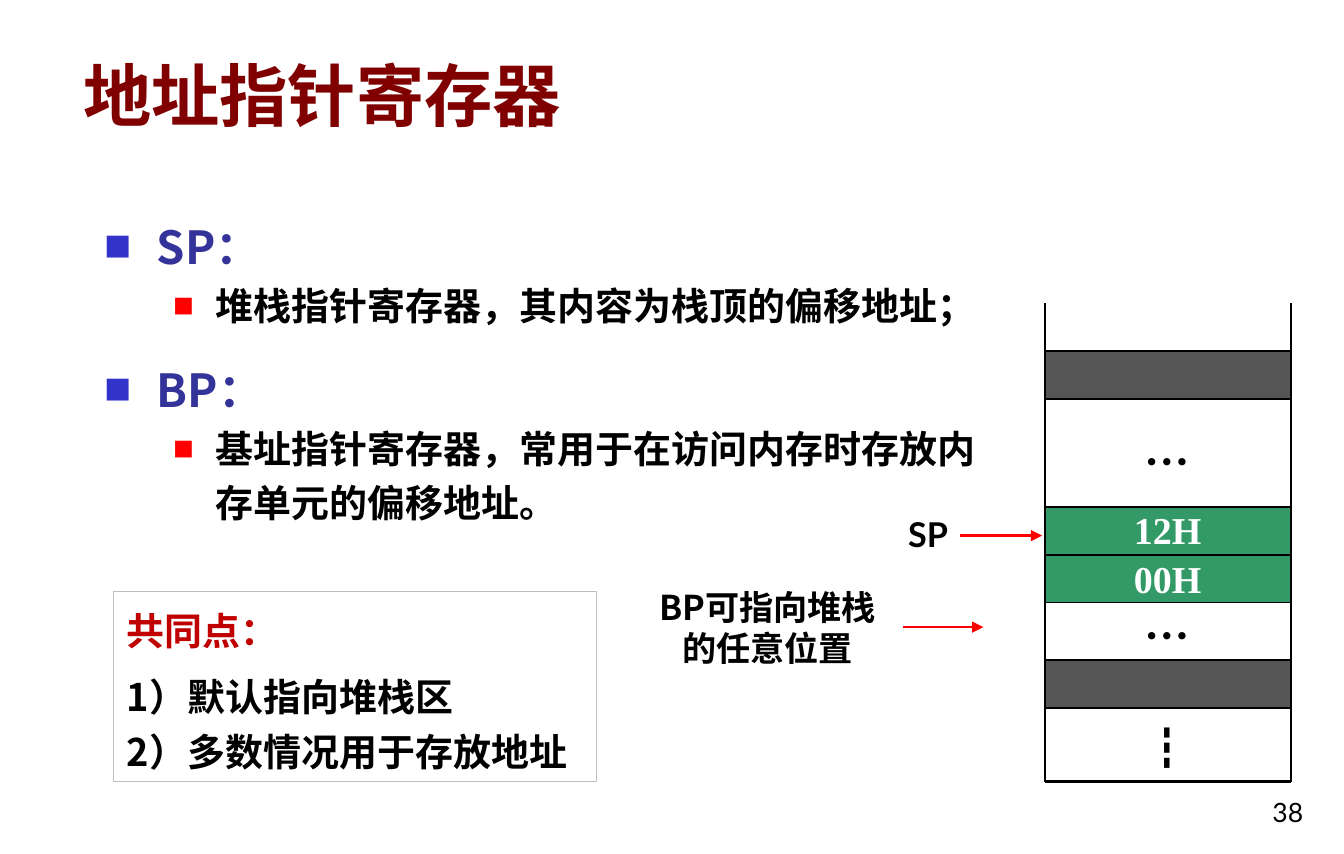
from lxml import etree
from pptx import Presentation
from pptx import util as u
from pptx.dml import color
from pptx.enum import shapes, text
from pptx.oxml import ns

SANS, LATIN, SERIF = "Noto Sans CJK SC", "Lato", "Times New Roman"
CENTER = {"alignment": text.PP_ALIGN.CENTER}
GREEN, GRAY = "339966", "555555"
STACK_LEFT, STACK_WIDTH, STACK_BOTTOM, CELL_HEIGHT = 7.65, 1.8, 5.72, 0.35


def rgb(value):
    """Turn a hex string into a colour."""
    return color.RGBColor.from_string(value)


def add_element(parent, tag, **attributes):
    """Append a drawing element with the given attributes."""
    return etree.SubElement(parent, ns.qn(tag), attributes)


def set_attributes(target, values):
    """Set each named format value on the target."""
    for name, value in values.items():
        setattr(target, name, value)


def add_bullet(paragraph, bullet_color, percent, margin, indent):
    """Give a paragraph a coloured square bullet and a hanging indent."""
    properties = paragraph._p.get_or_add_pPr()
    properties.set("marL", str(u.Inches(margin)))
    properties.set("indent", str(u.Inches(indent)))
    fill = add_element(properties, "a:buClr")
    add_element(fill, "a:srgbClr", val=bullet_color)
    add_element(properties, "a:buSzPct", val=str(percent * 1000))
    add_element(properties, "a:buFont", typeface=SANS)
    add_element(properties, "a:buChar", char="■")


def write_paragraph(paragraph, words, size, font=SANS, ink="000000", bold=True, layout=None, bullet=None):
    """Write one formatted paragraph."""
    set_attributes(paragraph, layout or {})
    if bullet:
        add_bullet(paragraph, *bullet)
    run = paragraph.add_run()
    run.text = words
    set_attributes(run.font, {"size": u.Pt(size), "bold": bold, "name": font})
    run.font.color.rgb = rgb(ink)
    add_element(run._r.get_or_add_rPr(), "a:ea", typeface=SANS if font == LATIN else font)


def fill_frame(shape, paragraphs, anchor=text.MSO_ANCHOR.TOP):
    """Write paragraphs into the wrapped text frame of a shape."""
    frame = shape.text_frame
    set_attributes(frame, {"word_wrap": True, "vertical_anchor": anchor})
    for index, values in enumerate(paragraphs):
        paragraph = frame.add_paragraph() if index else frame.paragraphs[0]
        write_paragraph(paragraph, **values)


def add_text(container, box, paragraphs, **options):
    """Add a text box holding the paragraphs."""
    shape = container.add_textbox(*map(u.Inches, box))
    fill_frame(shape, paragraphs, **options)


def add_box(container, box, line, width, fill=None):
    """Add an outlined rectangle, filled if a colour is given."""
    shape = container.add_shape(shapes.MSO_SHAPE.RECTANGLE, *map(u.Inches, box))
    shape.shadow.inherit = False
    if fill:
        shape.fill.solid()
        shape.fill.fore_color.rgb = rgb(fill)
    else:
        shape.fill.background()
    shape.line.color.rgb = rgb(line)
    shape.line.width = u.Pt(width)
    return shape


def add_line(container, ends, ink="000000", width=1, arrow=False):
    """Add a straight line, with an arrowhead if wanted."""
    line = container.add_connector(shapes.MSO_CONNECTOR.STRAIGHT, *map(u.Inches, ends))
    line.line.color.rgb = rgb(ink)
    line.line.width = u.Pt(width)
    if arrow:
        add_element(line.line._get_or_add_ln(), "a:tailEnd", type="triangle")
    add_element(line._element.spPr, "a:effectLst")


def add_registers(slide):
    """Add the bulleted descriptions of both registers."""
    entries = [
        ("SP：", 6, "堆栈指针寄存器，其内容为栈顶的偏移地址；"),
        ("BP：", 12, "基址指针寄存器，常用于在访问内存时存放内存单元的偏移地址。"),
    ]
    paragraphs = []
    for name, gap, description in entries:
        paragraphs += [
            {"words": name, "size": 24, "ink": "333399", "bullet": ("3333CC", 60, 0.38, -0.38),
             "layout": {"line_spacing": 1.2, "space_before": u.Pt(gap)}},
            {"words": description, "size": 20, "bullet": ("FF0000", 55, 0.81, -0.31),
             "layout": {"line_spacing": 1.2, "level": 1, "space_before": u.Pt(0)}},
        ]
    add_text(slide.shapes, (0.67, 1.47, 6.69, 2.6), paragraphs)


def add_common_points(slide):
    """Add the framed list of what the registers share."""
    lines = [("共同点：", "C00000", 6), ("1）默认指向堆栈区", "000000", 0), ("2）多数情况用于存放地址", "000000", 0)]
    shape = add_box(slide.shapes, (0.83, 4.33, 3.54, 1.39), "BFBFBF", 0.75)
    fill_frame(shape, [
        {"words": words, "size": 20, "ink": ink,
         "layout": {"alignment": text.PP_ALIGN.LEFT, "line_spacing": 1.2, "space_after": u.Pt(gap)}}
        for words, ink, gap in lines])


def add_stack(slide):
    """Add the memory stack with its cells and contents."""
    stack = slide.shapes.add_group_shape().shapes
    right = STACK_LEFT + STACK_WIDTH
    for top, fill in [(3.71, GREEN), (4.06, GREEN), (2.57, GRAY), (4.83, GRAY)]:
        add_box(stack, (STACK_LEFT, top, STACK_WIDTH, CELL_HEIGHT), "000000", 1, fill)
    for side in (STACK_LEFT, right):
        add_line(stack, (side, 2.22, side, STACK_BOTTOM))
    add_line(stack, (STACK_LEFT, STACK_BOTTOM, right, STACK_BOTTOM), width=1.5)
    for words, top in [("12H", 3.66), ("00H", 4.02)]:
        add_text(stack, (8.1, top, 0.9, 0.44), [
            {"words": words, "size": 20, "font": SERIF, "ink": "FFFFFF",
             "layout": {**CENTER, "space_before": u.Pt(12.5)}}])
    for words, top in [("…", 3.13), ("…", 4.4), ("┇", 5.22)]:
        add_text(stack, (8.1, top, 0.9, 0.5), [
            {"words": words, "size": 24, "layout": {**CENTER, "space_before": u.Pt(15)}}])


def add_pointer(slide, words, font, box, start, end, height):
    """Add a pointer label with its red arrow."""
    add_text(slide.shapes, box, [{"words": words, "size": 18, "font": font, "layout": CENTER}])
    add_line(slide.shapes, (start, height, end, height), "FF0000", 1.25, arrow=True)


def main():
    """Build the slide and save it."""
    presentation = Presentation()
    presentation.slide_width, presentation.slide_height = u.Inches(9.84), u.Inches(6.25)
    slide = presentation.slides.add_slide(presentation.slide_layouts[6])
    bottom = text.MSO_ANCHOR.BOTTOM
    add_text(slide.shapes, (0.51, 0.21, 7.13, 0.83), [
        {"words": "地址指针寄存器", "size": 36, "font": LATIN, "ink": "800000"}], anchor=bottom)
    add_registers(slide)
    add_common_points(slide)
    add_stack(slide)
    add_pointer(slide, "SP", LATIN, (6.44, 3.71, 0.71, 0.4), 7.03, 7.63, 3.92)
    add_pointer(slide, "BP可指向堆栈的任意位置", SANS, (4.69, 4.24, 1.86, 0.7), 6.61, 7.2, 4.59)
    add_text(slide.shapes, (9.02, 5.69, 0.62, 0.42), [
        {"words": "38", "size": 14, "font": LATIN, "bold": False,
         "layout": {"alignment": text.PP_ALIGN.RIGHT}}], anchor=bottom)
    presentation.save("out.pptx")


if __name__ == "__main__":
    main()
